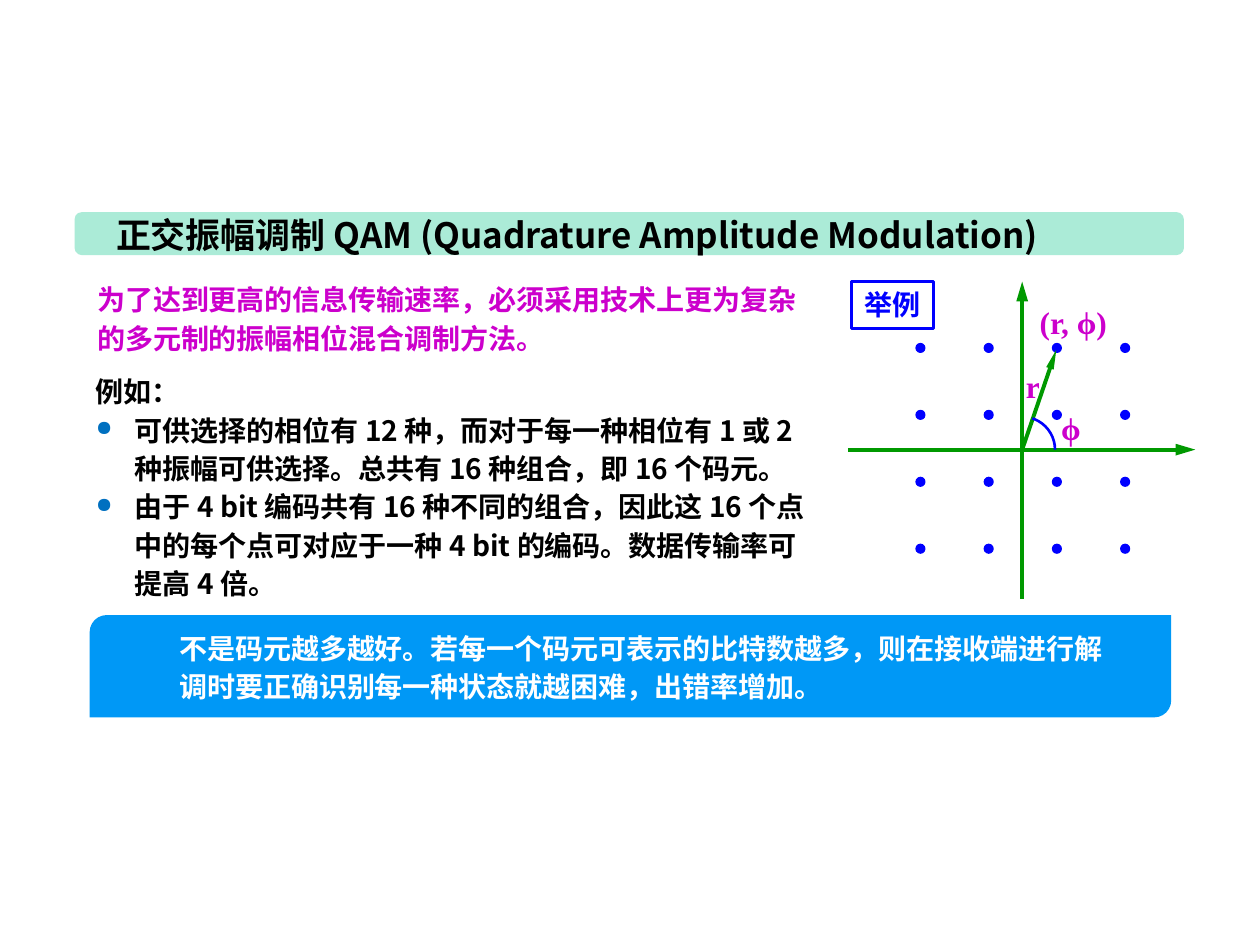
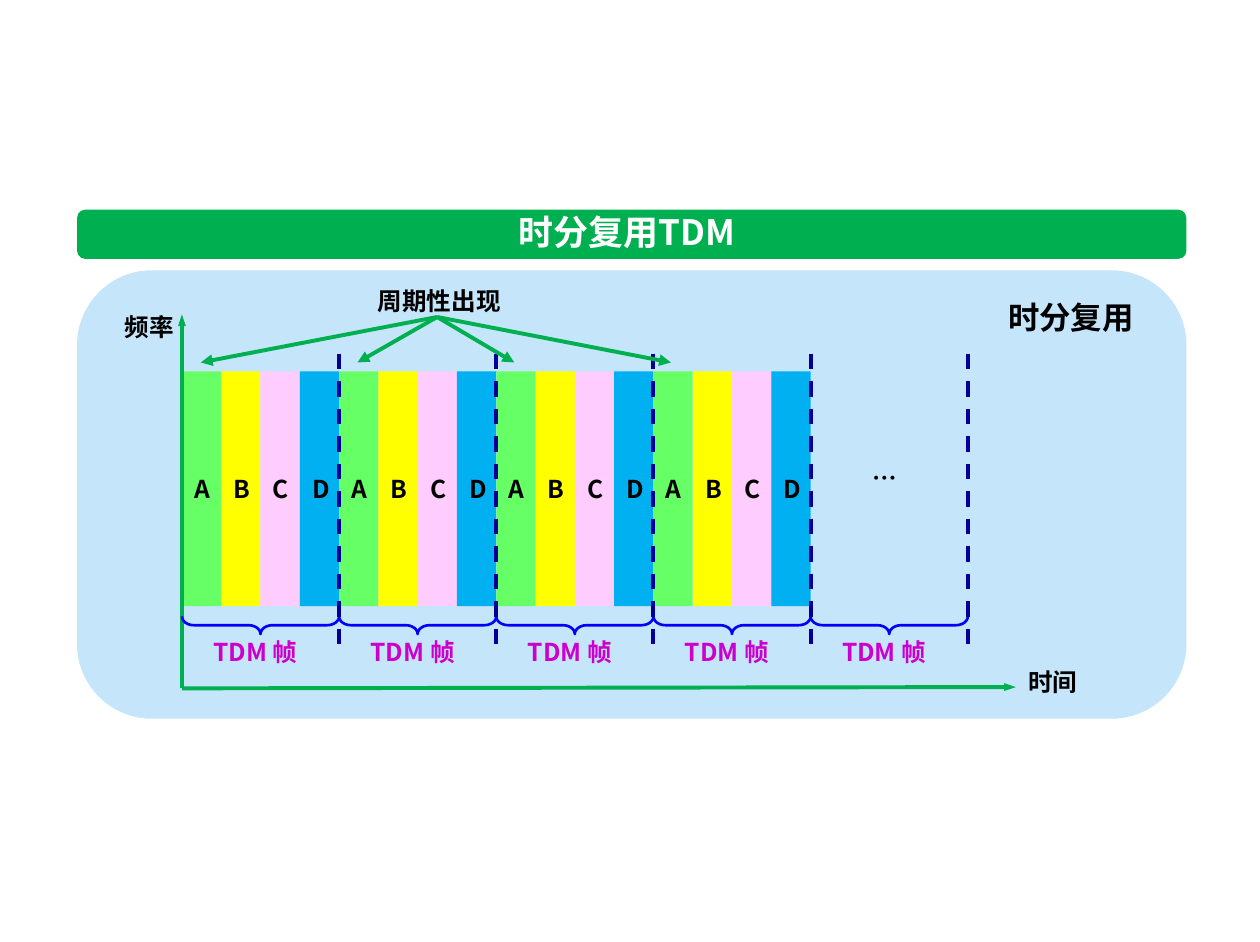
from lxml import etree
from pptx import Presentation, util as u
from pptx.dml.color import RGBColor
from pptx.enum import dml, shapes, text
from pptx.oxml.ns import qn

WIDTH, HEIGHT = u.Pt(718), u.Pt(537)
SANS, SERIF = "Noto Sans CJK SC", "Times New Roman"
BLACK, WHITE, BLUE, MAGENTA = "000000", "FFFFFF", "0000FF", "CC00CC"
MINT, SKY, PALE_BLUE, NAVY = "ABEBD7", "0098F6", "C5E5FB", "000099"
AXIS_GREEN, BAND_GREEN, BULLET_BLUE = "009900", "00B050", "0070C0"
BAND_WIDTH = 8.78
TITLE_SIZE, HEADING_SIZE, BODY_SIZE, LABEL_SIZE = 19.9, 17.9, 16, 14
BODY_SPACING, INTRO_SPACING, LABEL_SPACING = u.Pt(21.9), u.Pt(26.9), 0.9

QAM_TITLE = "正交振幅调制 QAM (Quadrature Amplitude Modulation) "
QAM_PURPOSE = "为了达到更高的信息传输速率，必须采用技术上更为复杂的多元制的振幅相位混合调制方法。"
QAM_INTRO = "例如："
QAM_POINTS = [
    "可供选择的相位有 12 种，而对于每一种相位有 1 或 2 种振幅可供选择。总共有 16 种组合，即 16 个码元。",
    "由于 4 bit 编码共有 16 种不同的组合，因此这 16 个点中的每个点可对应于一种 4 bit 的编码。数据传输率可提高 4 倍。",
]
QAM_CAUTION = "不是码元越多越好。若每一个码元可表示的比特数越多，则在接收端进行解调时要正确识别每一种状态就越困难，出错率增加。"
QAM_EXAMPLE = "举例"
QAM_SYMBOLS = [
    ("r", (8.02, 2.86, 0.31, 0.4)),
    ("ϕ", (8.3, 3.19, 0.35, 0.4)),
    ("(r, ϕ)", (8.13, 2.35, 0.74, 0.4)),
]

TDM_TITLE = "时分复用TDM "
TDM_HEADING = "时分复用"
TDM_USERS = [("A", "66FF66"), ("B", "FFFF00"), ("C", "FFCCFF"), ("D", "00B0F0")]
TDM_FRAME = "TDM 帧"
TDM_FRAMES, TDM_FILLED = 5, 4
TDM_LABELS = [
    ("频率", (0.89, 2.45, 0.59, 0.31)),
    ("时间", (8.04, 5.26, 0.59, 0.31)),
    ("周期性出现", (2.89, 2.24, 1.18, 0.31)),
]


def rgb(value):
    return RGBColor.from_string(value)


def write(shape, paragraphs, size, color, font=SANS, align="LEFT", spacing=None,
          wrap=False, anchor="TOP", grow=True):
    frame = shape.text_frame
    frame.text = "\n".join(paragraphs)
    frame.word_wrap = wrap
    frame.vertical_anchor = text.MSO_ANCHOR[anchor]
    frame.auto_size = text.MSO_AUTO_SIZE.SHAPE_TO_FIT_TEXT if grow else text.MSO_AUTO_SIZE.NONE
    for paragraph in frame.paragraphs:
        paragraph.alignment = text.PP_ALIGN[align]
        paragraph.line_spacing = spacing
        for run in paragraph.runs:
            run.font.name, run.font.size, run.font.bold = font, u.Pt(size), True
            run.font.color.rgb = rgb(color)
            etree.SubElement(run.font._element, qn("a:ea"), typeface=font)
    return frame


def add_text(slide, box, paragraphs, size, color, **style):
    return write(slide.shapes.add_textbox(*map(u.Inches, box)), paragraphs, size, color, **style)


def add_shape(slide, preset, box, fill=None, line=None, weight=0.75, adjust=()):
    shape = slide.shapes.add_shape(shapes.MSO_SHAPE[preset], *map(u.Inches, box))
    shape.shadow.inherit = False
    for index, value in enumerate(adjust):
        shape.adjustments[index] = value
    if fill:
        shape.fill.solid()
        shape.fill.fore_color.rgb = rgb(fill)
    else:
        shape.fill.background()
    if line:
        shape.line.color.rgb = rgb(line)
        shape.line.width = u.Pt(weight)
    else:
        shape.line.fill.background()
    return shape


def add_line(slide, start, end, color, arrow=("med", "med")):
    line = slide.shapes.add_connector(
        shapes.MSO_CONNECTOR.STRAIGHT, *map(u.Inches, (*start, *end)))
    line.line.color.rgb = rgb(color)
    line.line.width = u.Pt(2.25)
    if arrow:
        breadth, length = arrow
        etree.SubElement(line.line._get_or_add_ln(), qn("a:tailEnd"),
                         type="triangle", w=breadth, len=length)
    else:
        line.line.dash_style = dml.MSO_LINE.DASH
    etree.SubElement(line._element.spPr, qn("a:effectLst"))


def add_bullet(paragraph):
    props = paragraph._p.get_or_add_pPr()
    props.set("marL", str(u.Inches(0.31)))
    props.set("indent", str(-u.Inches(0.31)))
    color = etree.SubElement(props, qn("a:buClr"))
    etree.SubElement(color, qn("a:srgbClr"), val=BULLET_BLUE)
    etree.SubElement(props, qn("a:buSzPct"), val="75000")
    etree.SubElement(props, qn("a:buChar"), char="●")


def add_title(slide, title, fill, color, band, left, width):
    band_left, top, height = band
    add_shape(slide, "ROUNDED_RECTANGLE", (band_left, top, BAND_WIDTH, height), fill,
              adjust=[0.167])
    add_text(slide, (left, top - 0.04, width, 0.44), [title], TITLE_SIZE, color, align="CENTER")


def build_constellation(slide):
    center_x, center_y, radius = 8.09, 3.56, 0.26
    dot, dot_left, dot_top, step = 0.07, 7.25, 2.72, 0.54
    add_line(slide, (center_x, 4.74), (center_x, 2.23), AXIS_GREEN, ("med", "lg"))
    for row in range(4):
        for column in range(4):
            add_shape(slide, "OVAL", (dot_left + column * step, dot_top + row * 0.53, dot, dot),
                      BLUE, BLUE)
    add_line(slide, (6.71, center_y), (9.46, center_y), AXIS_GREEN, ("med", "lg"))
    add_line(slide, (center_x, center_y), (8.36, 2.77), AXIS_GREEN, ("sm", "lg"))
    add_shape(slide, "ARC", (center_x - radius, center_y - radius, 2 * radius, 2 * radius),
              line=BLUE, weight=1.5, adjust=[288 * 0.6, 0])
    for symbol, box in QAM_SYMBOLS:
        add_text(slide, box, [symbol], HEADING_SIZE, MAGENTA, font=SERIF)
    example = add_shape(slide, "RECTANGLE", (6.74, 2.23, 0.65, 0.37), line=BLUE, weight=1.5)
    write(example, [QAM_EXAMPLE], BODY_SIZE, BLUE)


def build_qam(slide):
    add_title(slide, QAM_TITLE, MINT, BLACK, (0.59, 1.68, 0.34), 0.61, 7.98)
    body = dict(spacing=BODY_SPACING, wrap=True)
    add_text(slide, (0.67, 2.15, 5.92, 0.72), [QAM_PURPOSE], BODY_SIZE, MAGENTA, **body)
    points = add_text(slide, (0.66, 2.81, 5.91, 2.02), [QAM_INTRO, *QAM_POINTS],
                      BODY_SIZE, BLACK, **body)
    intro, *bullets = points.paragraphs
    intro.line_spacing = INTRO_SPACING
    for bullet in bullets:
        add_bullet(bullet)
    add_shape(slide, "ROUND_2_DIAG_RECTANGLE", (0.71, 4.87, 8.56, 0.81), SKY)
    add_text(slide, (1.32, 4.91, 7.6, 0.72), [QAM_CAUTION], BODY_SIZE, WHITE, **body)
    build_constellation(slide)


def build_tdm(slide):
    left, top, height, period = 1.44, 2.94, 1.86, 6.22 / TDM_FRAMES
    slot = period / len(TDM_USERS)
    origin, source = (left, 5.45), (3.46, 2.51)
    brace_width, brace_middle = 0.14, 4.95
    starts = [left + period * index for index in range(TDM_FRAMES)]

    add_shape(slide, "ROUNDED_RECTANGLE", (0.61, 2.14, BAND_WIDTH, 3.55), PALE_BLUE)
    add_title(slide, TDM_TITLE, BAND_GREEN, WHITE, (0.61, 1.66, 0.39), 3.95, 2.09)
    add_line(slide, origin, (8.04, 5.44), BAND_GREEN, ("sm", "med"))
    for start in starts[:TDM_FILLED]:
        for index, (user, fill) in enumerate(TDM_USERS):
            cell = add_shape(slide, "RECTANGLE", (start + index * slot, top, slot, height), fill)
            write(cell, [user], LABEL_SIZE, BLACK, anchor="MIDDLE", grow=False)
    add_line(slide, origin, (left, 2.49), BAND_GREEN, ("sm", "med"))
    for start in starts:
        add_text(slide, (start + 0.15, 5.02, 0.93, 0.31), [TDM_FRAME], LABEL_SIZE, MAGENTA,
                 spacing=LABEL_SPACING)
        brace = add_shape(slide, "LEFT_BRACE",
                          (start + (period - brace_width) / 2, brace_middle - period / 2,
                           brace_width, period),
                          line=BLUE, weight=1.5, adjust=[0.67, 0.5])
        brace.rotation = 270
    for start in starts:
        add_line(slide, (start + period, 2.8), (start + period, 5.17), NAVY, arrow=None)
    add_text(slide, (6.81, 3.62, 0.39, 0.33), ["…"], LABEL_SIZE, BLACK)
    for label, box in TDM_LABELS:
        add_text(slide, box, [label], LABEL_SIZE, BLACK, spacing=LABEL_SPACING)
    add_text(slide, (7.87, 2.31, 1.21, 0.4), [TDM_HEADING], HEADING_SIZE, BLACK, align="CENTER")
    for index in range(TDM_FILLED):
        add_line(slide, source, (1.59 + 1.24 * index, 2.87), BAND_GREEN)


def main():
    deck = Presentation()
    deck.slide_width, deck.slide_height = WIDTH, HEIGHT
    for build in (build_qam, build_tdm):
        build(deck.slides.add_slide(deck.slide_layouts[6]))
    deck.save("out.pptx")


if __name__ == "__main__":
    main()
